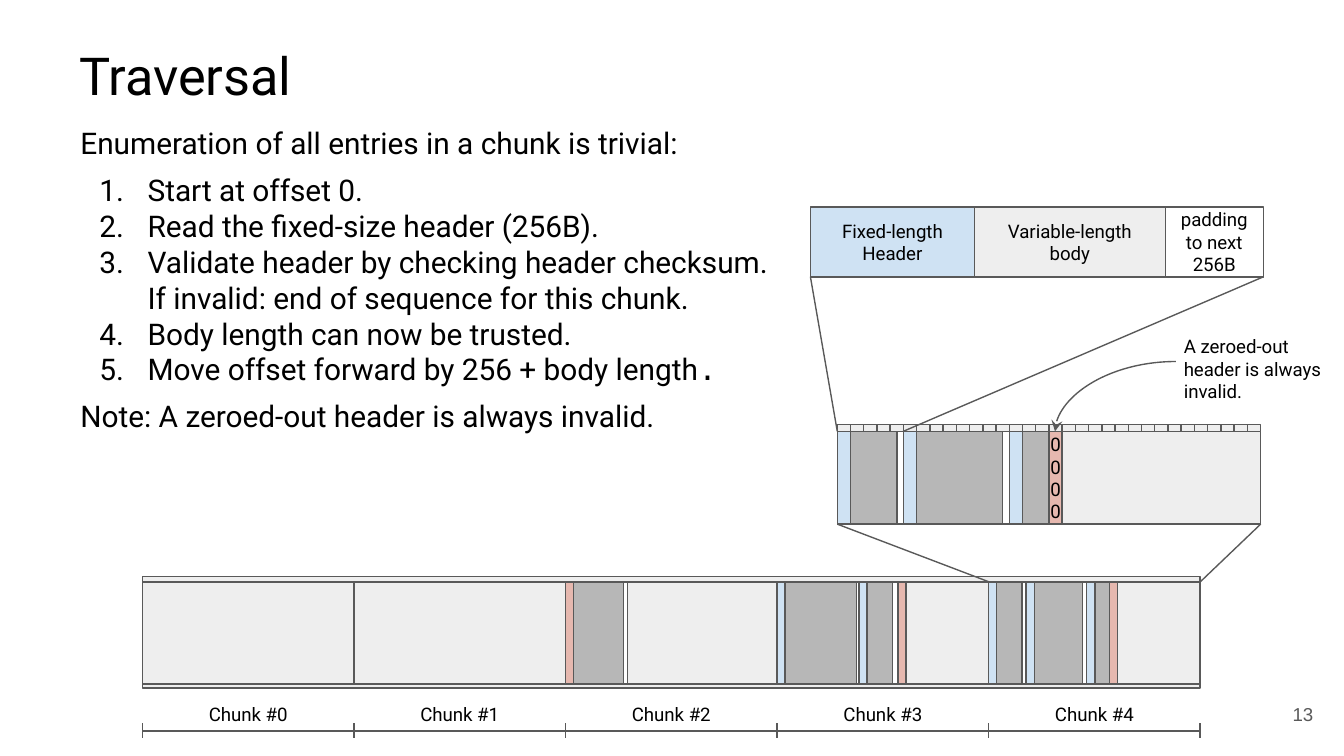
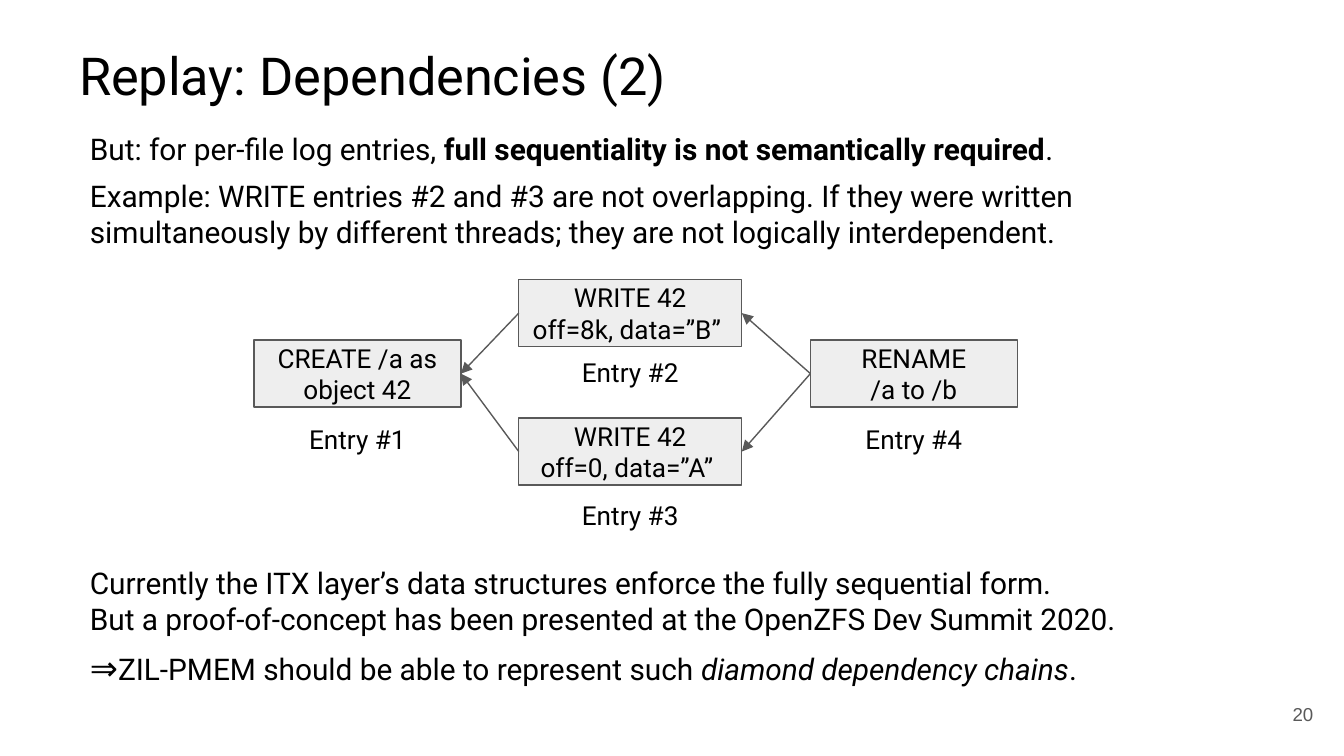
from dataclasses import dataclass

from lxml import etree
from pptx import Presentation
from pptx import util as u
from pptx.dml.color import RGBColor
from pptx.enum import shapes, text
from pptx.oxml.ns import qn

COLORS = {
    "ink": "000000",
    "line": "595959",
    "empty": "EEEEEE",
    "header": "CFE2F3",
    "body": "B7B7B7",
    "padding": "FFFFFF",
    "zero": "E6B8AF",
}
FONT = "Roboto"
CENTER, RIGHT = text.PP_ALIGN.CENTER, text.PP_ALIGN.RIGHT
TOP, MIDDLE = text.MSO_ANCHOR.TOP, text.MSO_ANCHOR.MIDDLE

# Segments of a chunk, as (kind, width)
DETAIL_TICKS = 32
DETAIL_SEGMENTS = [
    ("header", 1), ("body", 3.5), ("padding", 0.5),
    ("header", 1), ("body", 6.5), ("padding", 0.5),
    ("header", 1), ("body", 2), ("zero", 1),
]
CHUNK_SEGMENTS = [  # widths in hundredths of an inch
    [],
    [],
    [("zero", 6), ("body", 37), ("padding", 3)],
    [("header", 6), ("body", 53), ("padding", 2),
     ("header", 6), ("body", 19), ("padding", 4), ("zero", 6)],
    [("header", 6), ("body", 19), ("padding", 3),
     ("header", 6), ("body", 36), ("padding", 3),
     ("header", 6), ("body", 11), ("zero", 6)],
]


@dataclass
class Para:
    content: object  # a string, or a list of (text, font settings)
    before: float = 0
    after: float = 0
    numbered: bool = False


def rgb(name):
    return RGBColor.from_string(COLORS[name])


# Text and shape helpers

def write(shape, paragraphs, size, align=None, anchor=TOP, inset=0.1,
          font=FONT, color="ink"):
    frame = shape.text_frame
    frame.word_wrap = True
    frame.vertical_anchor = anchor
    frame.margin_left = frame.margin_right = u.Inches(inset)
    frame.margin_top = frame.margin_bottom = u.Inches(inset)
    for index, item in enumerate(paragraphs):
        item = item if isinstance(item, Para) else Para(item)
        paragraph = frame.paragraphs[0] if index == 0 else frame.add_paragraph()
        if isinstance(item.content, str):
            paragraph.text = item.content
        else:
            for words, settings in item.content:
                run = paragraph.add_run()
                run.text = words
                for name, value in settings.items():
                    setattr(run.font, name, value)
        paragraph.alignment = align
        paragraph.space_before = u.Pt(item.before)
        paragraph.space_after = u.Pt(item.after)
        if item.numbered:
            properties = paragraph._p.get_or_add_pPr()
            properties.set("marL", str(u.Inches(0.5)))
            properties.set("indent", str(u.Inches(-0.36)))
            etree.SubElement(properties, qn("a:buAutoNum"), type="arabicPeriod")
        paragraph.font.name = font
        paragraph.font.size = u.Pt(size)
        paragraph.font.color.rgb = rgb(color)


def add_text(slide, box, paragraphs, size, **options):
    shape = slide.shapes.add_textbox(*map(u.Inches, box))
    write(shape, paragraphs, size, **options)


def add_box(parent, box, fill=None):
    shape = parent.shapes.add_shape(shapes.MSO_SHAPE.RECTANGLE, *map(u.Inches, box))
    shape.shadow.inherit = False
    if fill:
        shape.fill.solid()
        shape.fill.fore_color.rgb = rgb(fill)
    else:
        shape.fill.background()
    shape.line.color.rgb = rgb("line")
    shape.line.width = u.Pt(0.75)
    return shape


def add_line(slide, start, end, kind=shapes.MSO_CONNECTOR.STRAIGHT,
             head=None, tail=None):
    connector = slide.shapes.add_connector(kind, *map(u.Inches, (*start, *end)))
    connector.line.color.rgb = rgb("line")
    connector.line.width = u.Pt(0.75)
    outline = connector.line._get_or_add_ln()
    for tag, arrow in (("a:headEnd", head), ("a:tailEnd", tail)):
        if arrow:
            etree.SubElement(outline, qn(tag), type=arrow)
    etree.SubElement(connector._element.spPr, qn("a:effectLst"))
    return connector


def new_slide(presentation, title, title_width, number):
    slide = presentation.slides.add_slide(presentation.slide_layouts[6])
    add_text(slide, (0.49, 0.22, title_width, 0.88), [title], 28)
    add_text(slide, (9.27, 5.1, 0.6, 0.43), [str(number)], 10, align=RIGHT,
             anchor=MIDDLE, font="Arial", color="line")
    return slide


# Traversal diagram

def add_segments(slide, left, top, height, segments, unit):
    shape = None
    for kind, units in segments:
        shape = add_box(slide, (left, top, units * unit, height), kind)
        left += units * unit
    return shape


def add_entry(slide, box):
    left, top, width, height = box
    parts = [
        ("header", 1.22, ["Fixed-length", "Header"]),
        ("empty", 1.42, ["Variable-length body"]),
        (None, width - 2.64, ["padding to next", "256B"]),
    ]
    for fill, part_width, label in parts:
        shape = add_box(slide, (left, top, part_width, height), fill)
        write(shape, label, 10, align=CENTER, anchor=MIDDLE)
        left += part_width


def add_chunk_detail(slide, box):
    left, top, width, height = box
    ruler = 0.05
    tick = width / DETAIL_TICKS
    add_box(slide, (left, top + ruler, width, height - ruler), "empty")
    group = slide.shapes.add_group_shape()
    for index in range(DETAIL_TICKS):
        add_box(group, (left + index * tick, top, tick, ruler), "empty")
    zeroed = add_segments(slide, left, top + ruler, height - ruler,
                          DETAIL_SEGMENTS, tick)
    write(zeroed, ["0"] * 4, 10, align=CENTER, anchor=MIDDLE, inset=0)

    # Remark with a curved arrow to the zeroed header
    add_text(slide, (left + 2.48, top - 0.78, 1.27, 0.73),
             ["A zeroed-out header is always invalid."], 10, anchor=MIDDLE)
    curve = add_line(slide, (left + 1.81, top - 0.66), (left + 2.33, top + 0.24),
                     kind=shapes.MSO_CONNECTOR.CURVE, head="stealth")
    properties = curve._element.spPr
    properties.find(qn("a:prstGeom")).set("prst", "curvedConnector2")
    properties.find(qn("a:xfrm")).set("rot", str(270 * 60000))


def add_chunk_row(slide, box):
    left, top, width, height = box
    rim = 0.04
    pitch = width / len(CHUNK_SEGMENTS)
    inner_top, inner_height = top + rim, height - 0.07
    scale_top = top + 1.09
    add_box(slide, box, "empty")
    for index, segments in enumerate(CHUNK_SEGMENTS):
        x = left + index * pitch
        add_box(slide, (x, inner_top, pitch, inner_height), "empty")
        add_segments(slide, x, inner_top, inner_height, segments, 0.01)
        add_text(slide, (x, top + 0.94, pitch, 0.16), [f"Chunk #{index}"], 10,
                 align=CENTER, anchor=MIDDLE)

    # Scale below the chunks
    add_line(slide, (left, scale_top + 0.06), (left + width, scale_top + 0.06))
    for index in range(len(CHUNK_SEGMENTS) + 1):
        x = left + index * pitch
        add_line(slide, (x, scale_top), (x, scale_top + 0.11))


def add_zoom(slide, upper_xs, upper_y, lower_xs, lower_y):
    for upper_x, lower_x in zip(upper_xs, lower_xs):
        add_line(slide, (lower_x, lower_y), (upper_x, upper_y))


def traversal_slide(presentation):
    slide = new_slide(presentation, "Traversal", 8.21, 13)
    steps = [
        "Start at offset 0.",
        "Read the fixed-size header (256B).",
        "Validate header by checking header checksum.\n"
        "If invalid: end of sequence for this chunk.",
        "Body length can now be trusted.",
        [("Move offset forward by 256 + body length", {}),
         (".", {"name": "DejaVu Sans Mono"})],
    ]
    add_text(slide, (0.5, 0.83, 5.49, 3.33), [
        "Enumeration of all entries in a chunk is trivial:",
        *(Para(step, before=0 if index else 6, numbered=True)
          for index, step in enumerate(steps)),
        Para("Note: A zeroed-out header is always invalid.", 6, 6),
    ], 16)
    add_chunk_row(slide, (1.06, 4.29, 7.87, 0.83))
    add_entry(slide, (6.03, 1.54, 3.37, 0.52))
    add_chunk_detail(slide, (6.23, 3.16, 3.15, 0.74))
    add_zoom(slide, (6.03, 9.4), 2.06, (6.23, 6.72), 3.21)
    add_zoom(slide, (6.23, 9.38), 3.9, (7.36, 8.93), 4.33)


# Dependency diagram

def add_dependency_diamond(slide, box):
    left, top, width, height = box
    node_height = 0.5
    outer, inner = 1.54, 1.66
    middle = top + 0.45
    right = left + width - outer
    center = left + 1.97
    nodes = [  # left, top, width, label, distance down to the caption
        (left, middle, outer, "CREATE /a as object 42", 0.59),
        (center, top, inner, "WRITE 42\noff=8k, data=”B” ", 0.54),
        (center, top + 1.03, inner, "WRITE 42\noff=0, data=”A” ", 0.58),
        (right, middle, outer, "RENAME\n/a to /b", 0.59),
    ]
    entries = []
    for number, (x, y, node_width, label, drop) in enumerate(nodes, 1):
        entry = add_box(slide, (x, y, node_width, node_height), "empty")
        write(entry, [label], 14, align=CENTER, anchor=MIDDLE)
        caption_left = x + (node_width - outer) / 2
        add_text(slide, (caption_left, y + drop, outer, 0.29),
                 [f"Entry #{number}"], 14, align=CENTER, anchor=MIDDLE)
        entries.append(entry)
    create, write_b, write_a, rename = entries
    for later, earlier in ((write_a, create), (write_b, create),
                           (rename, write_b), (rename, write_a)):
        arrow = add_line(slide, (left, top), (right, top + height), tail="triangle")
        arrow.begin_connect(later, 1)
        arrow.end_connect(earlier, 3)


def dependencies_slide(presentation):
    slide = new_slide(presentation, "Replay: Dependencies (2)", 8.88, 20)
    add_text(slide, (0.57, 0.87, 8.42, 1.12), [
        Para([("But: for per-file log entries, ", {}),
              ("full sequentiality is not semantically required", {"bold": True}),
              (".", {})]),
        Para("Example: WRITE entries #2 and #3 are not overlapping. If they were "
             "written simultaneously by different threads; they are not logically "
             "interdependent.", 6, 6),
    ], 16)
    add_dependency_diamond(slide, (1.89, 2.08, 5.68, 1.9))
    add_text(slide, (0.57, 4.1, 8.42, 1.12), [
        "Currently the ITX layer’s data structures enforce the fully sequential form.\n"
        "But a proof-of-concept has been presented at the OpenZFS Dev Summit 2020.",
        Para([("⇒", {"size": u.Pt(18)}),
              ("ZIL-PMEM should be able to represent such ", {}),
              ("diamond dependency chains", {"italic": True}),
              (".", {})], 6, 6),
    ], 16)


def main():
    presentation = Presentation()
    presentation.slide_width = u.Inches(10)
    presentation.slide_height = u.Inches(10 * 9 / 16)
    traversal_slide(presentation)
    dependencies_slide(presentation)
    presentation.save("out.pptx")


if __name__ == "__main__":
    main()
